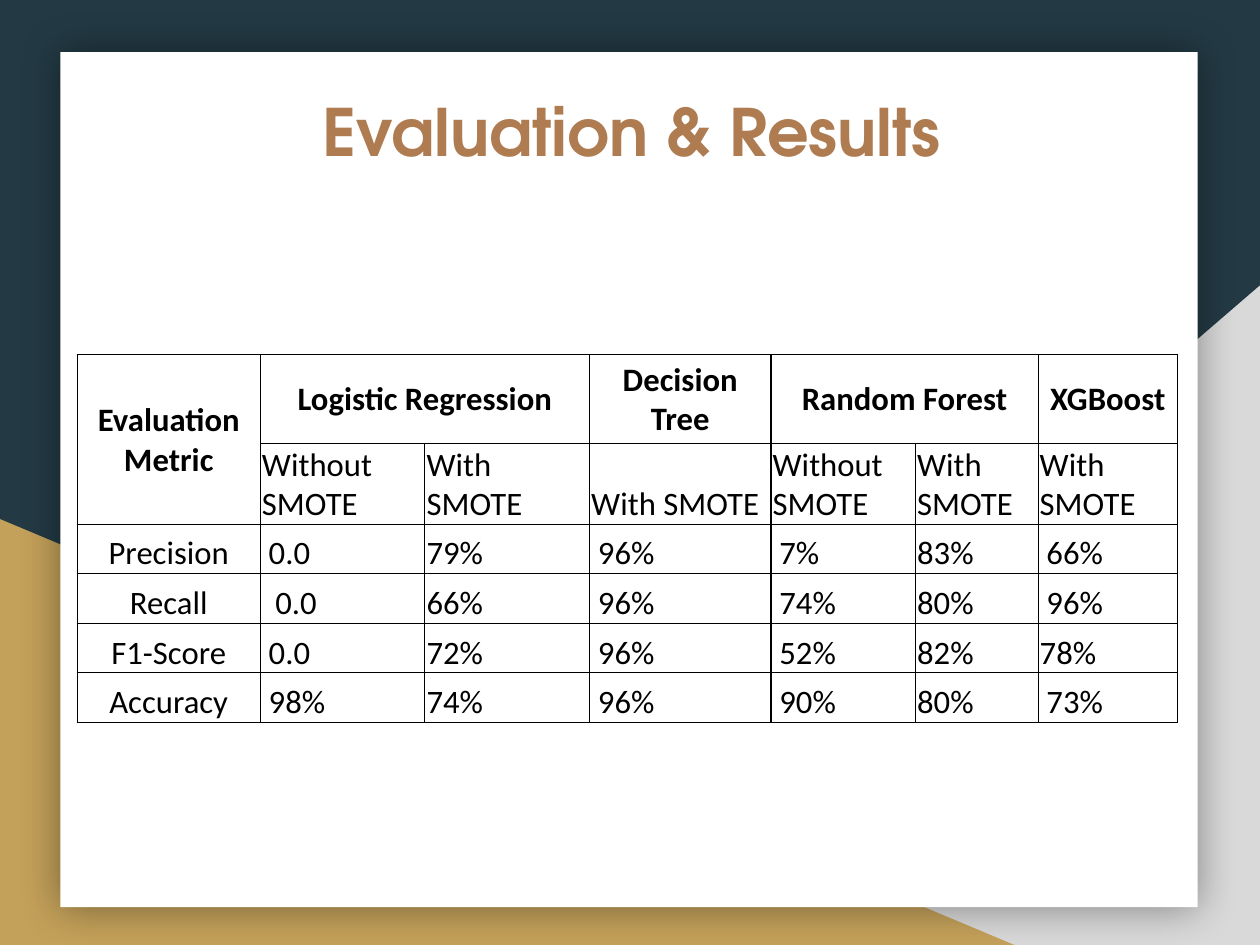
import pptx
import pptx.dml.color
import pptx.enum.shapes
import pptx.enum.text
import pptx.oxml
import pptx.oxml.ns
import pptx.util
from pptx.util import Inches

THEME = {
    "navy": "233A44", "gray": "D9D9D9", "gold": "C4A15A", "white": "FFFFFF",
    "brown": "AF7B51", "black": "000000",
    "title_font": "TeX Gyre Adventor", "table_font": "Calibri",
    "title_size": 28, "table_size": 14, "border": 0.5,
}
NS = pptx.oxml.ns.nsdecls("a")
RGB = pptx.dml.color.RGBColor.from_string
ALIGN = pptx.enum.text.PP_ALIGN
ANCHOR = pptx.enum.text.MSO_ANCHOR
SHAPE = pptx.enum.shapes.MSO_SHAPE


def write(frame, text, font, size, color, bold=False, align=ALIGN.LEFT):
    frame.word_wrap = True
    paragraph = frame.paragraphs[0]
    paragraph.alignment = align
    run = paragraph.add_run()
    run.text = text
    run.font.name = font
    run.font.size = pptx.util.Pt(size)
    run.font.bold = bold
    run.font.color.rgb = RGB(color)


def add_panel(kind, left, top, width, height, color):
    panel = slide.shapes.add_shape(
        kind, Inches(left), Inches(top), Inches(width), Inches(height))
    panel.shadow.inherit = False
    panel.fill.solid()
    panel.fill.fore_color.rgb = RGB(color)
    panel.line.fill.background()
    return panel


# Slide in 4:3 format
prs = pptx.Presentation()
prs.slide_width, prs.slide_height = Inches(7.5), Inches(7.5 * 3 / 4)
slide = prs.slides.add_slide(prs.slide_layouts[6])

# Backdrop: two corner triangles behind a white sheet
slide.background.fill.solid()
slide.background.fill.fore_color.rgb = RGB(THEME["navy"])
gray_corner = add_panel(SHAPE.RIGHT_TRIANGLE, 2.94, 1.7, 4.56, 3.93, THEME["gray"])
gray_corner._element.spPr.find(pptx.oxml.ns.qn("a:xfrm")).set("flipH", "1")
add_panel(SHAPE.RIGHT_TRIANGLE, 0, 3.09, 6.05, 2.54, THEME["gold"])
sheet = add_panel(SHAPE.RECTANGLE, 0.36, 0.31, 6.77, 5.09, THEME["white"])
sheet._element.spPr.find(pptx.oxml.ns.qn("a:effectLst")).append(pptx.oxml.parse_xml(
    f'<a:outerShdw {NS} blurRad="{pptx.util.Pt(18)}" dist="0" dir="0" algn="ctr" '
    f'rotWithShape="0"><a:srgbClr val="{THEME["black"]}"><a:alpha val="40000"/>'
    '</a:srgbClr></a:outerShdw>'))

# Title
title = slide.shapes.add_textbox(Inches(0.68), Inches(0.44), Inches(6.16), Inches(1.04))
title.text_frame.margin_top = Inches(0.1)
write(title.text_frame, "Evaluation & Results", THEME["title_font"],
      THEME["title_size"], THEME["brown"], bold=True, align=ALIGN.CENTER)

# Results: a leading space marks an indented value
results = [
    ["Evaluation Metric", "Logistic Regression", "", "Decision Tree",
     "Random Forest", "", "XGBoost"],
    ["", "Without SMOTE", "With SMOTE", "With SMOTE",
     "Without SMOTE", "With SMOTE", "With SMOTE"],
    ["Precision", " 0.0", "79%", " 96%", " 7%", "83%", " 66%"],
    ["Recall", "  0.0", "66%", " 96%", " 74%", "80%", " 96%"],
    ["F1-Score", " 0.0", "72%", " 96%", " 52%", "82%", "78%"],
    ["Accuracy", " 98%", "74%", " 96%", " 90%", "80%", " 73%"],
]
column_widths = [1.09, 0.98, 0.98, 1.08, 0.86, 0.73, 0.83]
row_heights = [0.53, 0.48] + [1.18 / 4] * 4
metrics = slide.shapes.add_table(
    len(row_heights), len(column_widths), Inches(0.46), Inches(2.11),
    Inches(sum(column_widths)), Inches(sum(row_heights))).table
metrics.first_row = metrics.horz_banding = False
for column, width in zip(metrics.columns, column_widths):
    column.width = Inches(width)
for row, height in zip(metrics.rows, row_heights):
    row.height = Inches(height)

# Header spans
for first, last in [((0, 0), (1, 0)), ((0, 1), (0, 2)), ((0, 4), (0, 5))]:
    metrics.cell(*first).merge(metrics.cell(*last))

# Cells
for r, values in enumerate(results):
    for c, value in enumerate(values):
        cell = metrics.cell(r, c)
        text = value.lstrip()
        indent = len(value) - len(text)
        cell.margin_left = Inches(0.01 + 0.04 * indent)
        cell.margin_right = cell.margin_top = Inches(0.01)
        cell.margin_bottom = 0
        cell.vertical_anchor = ANCHOR.MIDDLE if r == 0 else ANCHOR.BOTTOM
        if text:
            write(cell.text_frame, text, THEME["table_font"], THEME["table_size"],
                  THEME["black"], bold=r == 0,
                  align=ALIGN.CENTER if r == 0 or c == 0 else ALIGN.LEFT)
        properties = cell._tc.get_or_add_tcPr()
        for side in ("lnL", "lnR", "lnT", "lnB"):
            properties.append(pptx.oxml.parse_xml(
                f'<a:{side} {NS} w="{pptx.util.Pt(THEME["border"])}"><a:solidFill>'
                f'<a:srgbClr val="{THEME["black"]}"/></a:solidFill></a:{side}>'))
        cell.fill.background()

prs.save("out.pptx")
